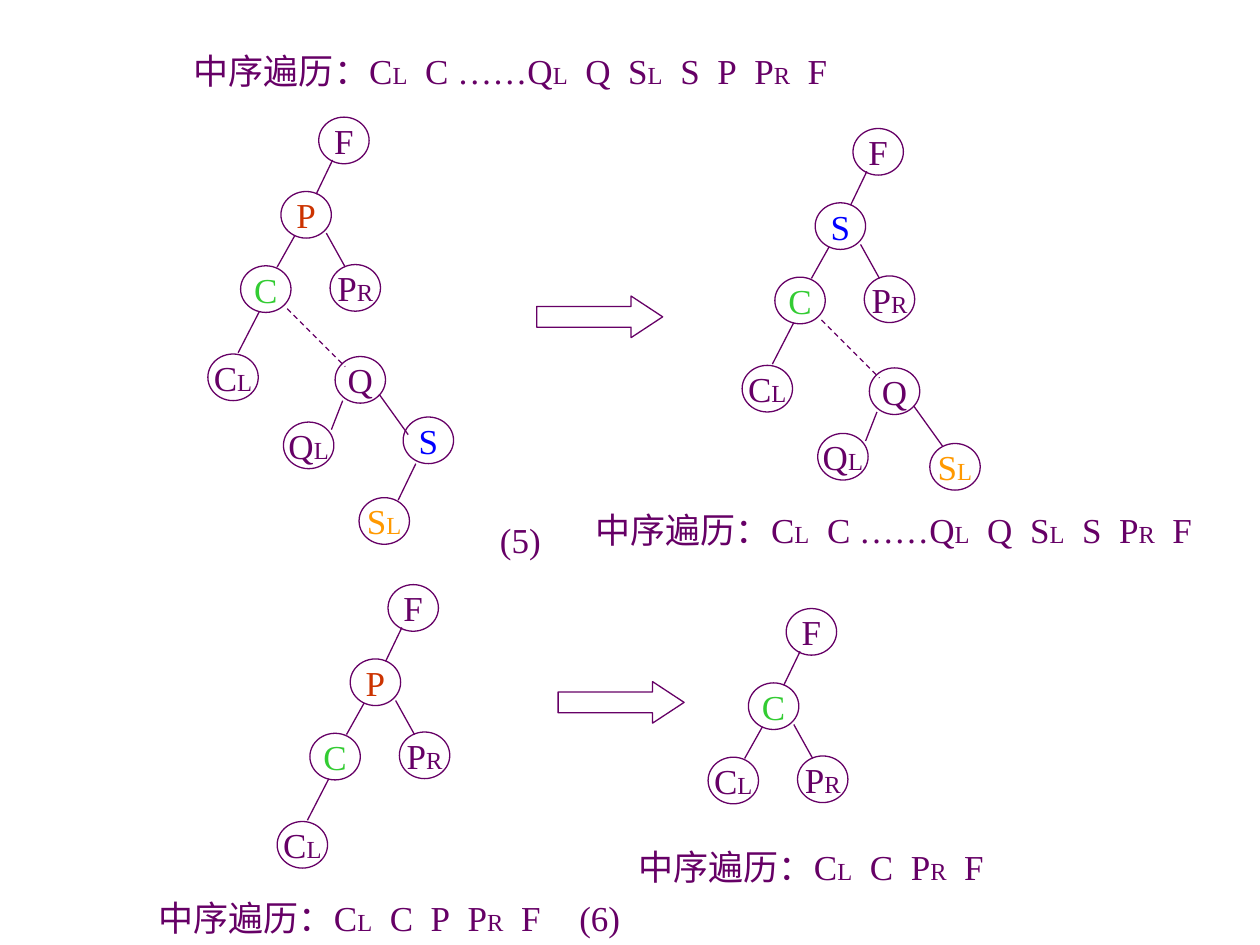
from itertools import groupby

from lxml.etree import SubElement
from pptx import Presentation
from pptx.dml.color import RGBColor
from pptx.enum.dml import MSO_LINE
from pptx.enum.shapes import MSO_CONNECTOR, MSO_SHAPE
from pptx.enum.text import MSO_ANCHOR, MSO_AUTO_SIZE, PP_ALIGN
from pptx.oxml.ns import qn
from pptx.util import Inches, Pt

FONT = "Times New Roman"
PURPLE = "660066"
NODE_COLORS = {"P": "CC3300", "C": "33CC33", "S": "0000FF", "SL": "FF9900"}
NODE_W, NODE_H = 0.4, 0.37

# Place in a tree, measured from the root: node corner, then edge to the parent
PLACES = {
    "root": ((0, 0), None),
    "mid": ((-0.3, 0.59), (0.11, 0.34, -0.02, 0.61)),
    "left": ((-0.62, 1.18), (-0.19, 0.94, -0.33, 1.19)),
    "right": ((0.09, 1.17), (0.06, 0.92, 0.21, 1.19)),
    "low": ((-0.88, 1.88), (-0.47, 1.54, -0.64, 1.87)),
    "far": ((0.13, 1.9), (-0.25, 1.52, 0.21, 1.98)),
    "far left": ((-0.28, 2.42), (0.19, 2.25, 0.1, 2.48)),
    "far right": ((0.67, 2.38), (0.48, 2.2, 0.71, 2.52)),
    "far right leaf": ((0.61, 2.5), (0.48, 2.2, 0.71, 2.52)),
    "last": ((0.32, 3.02), (0.77, 2.75, 0.63, 3.04)),
}
DASHED = "far"

# Root corner, then the node at each place
TREES = [
    ((2.53, 0.93), {"root": "F", "mid": "P", "left": "C", "right": "PR", "low": "CL",
                    "far": "Q", "far left": "QL", "far right": "S", "last": "SL"}),
    ((6.77, 1.02), {"root": "F", "mid": "S", "left": "C", "right": "PR", "low": "CL",
                    "far": "Q", "far left": "QL", "far right leaf": "SL"}),
    ((3.08, 4.64), {"root": "F", "mid": "P", "left": "C", "right": "PR", "low": "CL"}),
    ((6.24, 4.83), {"root": "F", "mid": "C", "left": "CL", "right": "PR"}),
]
ARROWS = [(4.26, 2.35), (4.43, 5.41)]

# Left, top, width, symbols in order
TRAVERSALS = [
    (1.44, 0.34, 5.32, ["CL", "C ……QL", "Q", "SL", "S", "P", "PR", "F"]),
    (4.63, 3.98, 5.04, ["CL", "C ……QL", "Q", "SL", "S", "PR", "F"]),
    (1.16, 7.06, 3.34, ["CL", "C", "P", "PR", "F"]),
    (4.97, 6.66, 3.06, ["CL", "C", "PR", "F"]),
]
CAPTIONS = [(3.83, 4.06, "(5)"), (4.46, 7.06, "(6)")]

prs = Presentation()
prs.slide_width, prs.slide_height = Inches(10), Inches(7.5)
shapes = prs.slides.add_slide(prs.slide_layouts[6]).shapes


def rgb(color):
    return RGBColor.from_string(color)


def set_line(sp):
    sp.line.color.rgb = rgb(PURPLE)
    sp.line.width = Pt(0.75)


def add_outline(kind, x, y, w, h):
    sp = shapes.add_shape(kind, Inches(x), Inches(y), Inches(w), Inches(h))
    sp.shadow.inherit = False
    sp.fill.background()
    set_line(sp)
    return sp


def set_paragraph(sp, align, color=PURPLE):
    tf = sp.text_frame
    tf.word_wrap = False
    tf.vertical_anchor = MSO_ANCHOR.MIDDLE
    p = tf.paragraphs[0]
    p.alignment = align
    p.font.name, p.font.color.rgb = FONT, rgb(color)
    return p


def add_run(p, text, size=20):
    r = p.add_run()
    r.text, r.font.size = text, Pt(size)
    return r


def add_symbol(p, symbol):
    """Set the letters L and R small, as subscripts."""
    for small, letters in groupby(symbol, key=lambda c: c in "LR"):
        add_run(p, "".join(letters), 14 if small else 20)


def add_edge(x1, y1, x2, y2, dashed):
    line = shapes.add_connector(MSO_CONNECTOR.STRAIGHT, Inches(x1), Inches(y1),
                                Inches(x2), Inches(y2))
    set_line(line)
    if dashed:
        line.line.dash_style = MSO_LINE.DASH
    SubElement(line._element.spPr, qn("a:effectLst"))


def add_text(x, y, w, align):
    sp = shapes.add_textbox(Inches(x), Inches(y), Inches(w), Inches(0.44))
    p = set_paragraph(sp, align)
    sp.text_frame.auto_size = MSO_AUTO_SIZE.SHAPE_TO_FIT_TEXT
    return p


# Trees
for (x, y), nodes in TREES:
    for place, symbol in nodes.items():
        (dx, dy), edge = PLACES[place]
        sp = add_outline(MSO_SHAPE.OVAL, x + dx, y + dy, NODE_W, NODE_H)
        p = set_paragraph(sp, PP_ALIGN.CENTER, NODE_COLORS.get(symbol, PURPLE))
        add_symbol(p, symbol)
        if edge:
            x1, y1, x2, y2 = edge
            add_edge(x + x1, y + y1, x + x2, y + y2, place == DASHED)

# Arrows between the trees
for x, y in ARROWS:
    arrow = add_outline(MSO_SHAPE.RIGHT_ARROW, x, y, 1, 0.33)
    arrow.adjustments[1] = 0.76

# Traversal orders, with a widened space between symbols
for x, y, w, symbols in TRAVERSALS:
    p = add_text(x, y, w, PP_ALIGN.LEFT)
    add_run(p, "中序遍历：")
    for i, symbol in enumerate(symbols):
        if i:
            gap = add_run(p, " ")
            gap.font._element.set("spc", "500")
        add_symbol(p, symbol)

# Case numbers
for x, y, text in CAPTIONS:
    add_run(add_text(x, y, 0.6, PP_ALIGN.CENTER), text)

prs.save("out.pptx")
